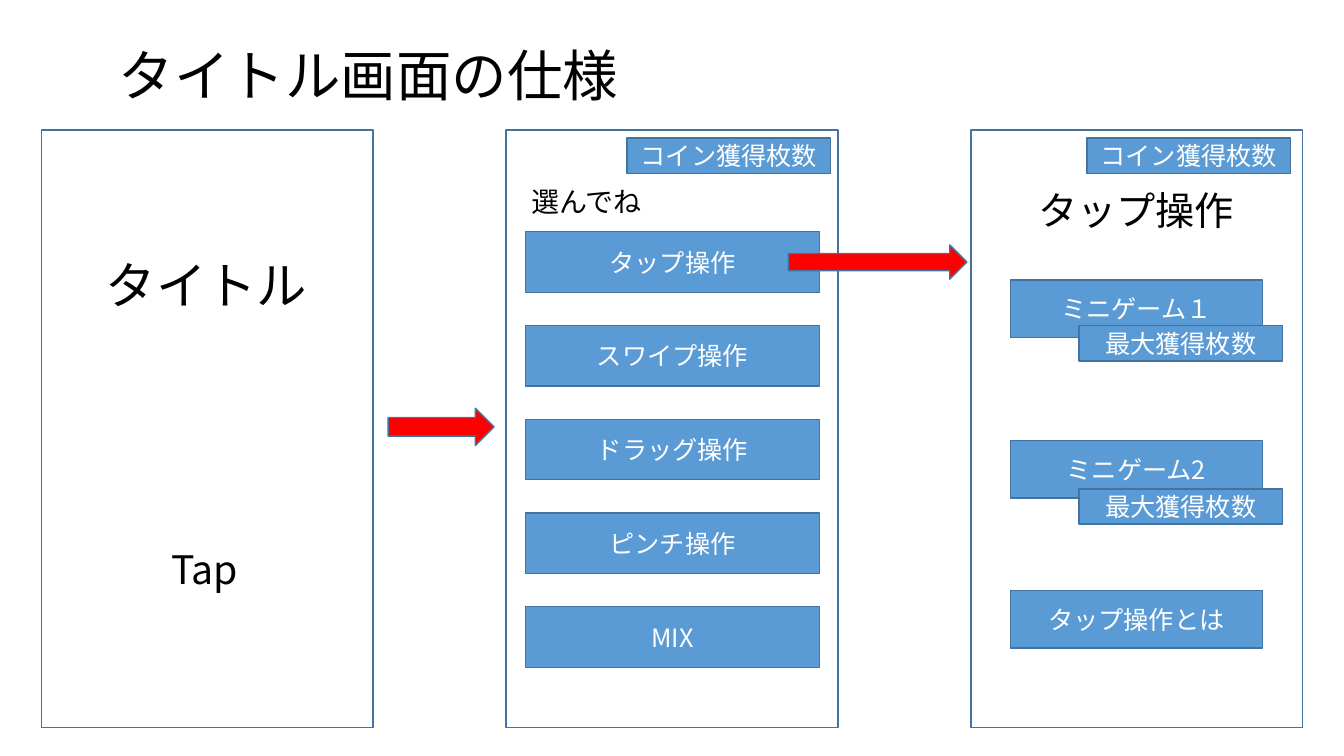
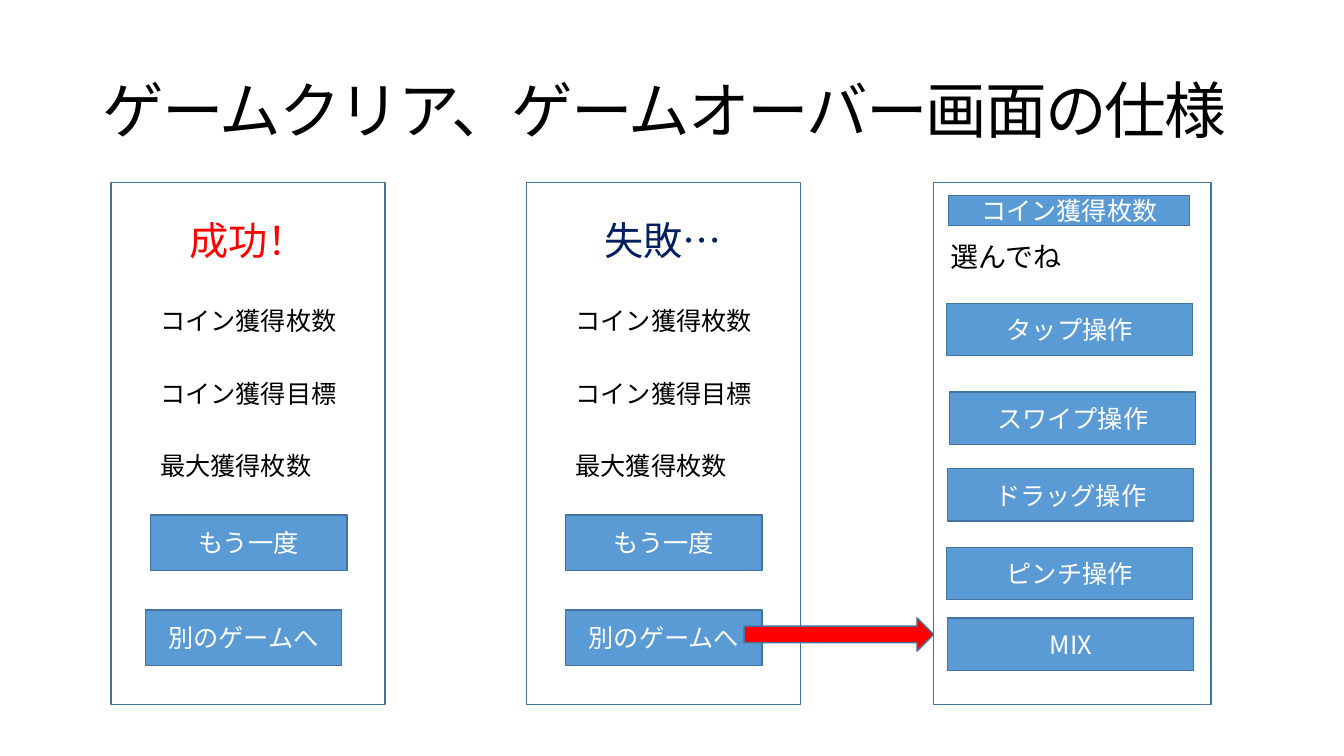
from dataclasses import dataclass

from lxml.etree import SubElement
from pptx import Presentation
from pptx.dml.color import RGBColor
from pptx.enum.shapes import MSO_SHAPE
from pptx.enum.text import MSO_ANCHOR, PP_ALIGN
from pptx.oxml.ns import qn
from pptx.util import Pt


@dataclass(frozen=True)
class Theme:
    font: str = "Noto Sans CJK JP"
    black: str = "000000"
    white: str = "FFFFFF"
    blue: str = "5B9BD5"
    edge: str = "43739E"
    red: str = "FF0000"
    navy: str = "002060"
    body: float = 18
    lead: float = 20
    head: float = 28
    large: float = 36
    title: float = 44
    small: float = 39.6


T = Theme()
PX = 9144  # 100 px to the inch
LEFT, MID = PP_ALIGN.LEFT, PP_ALIGN.CENTER
RECT, ARROW = MSO_SHAPE.RECTANGLE, MSO_SHAPE.RIGHT_ARROW


def write(page, at, text, size=T.body, color=T.black, align=LEFT,
          anchor=MSO_ANCHOR.TOP, space=None, pitch=0, item=None):
    """Put text in the given shape, or in a new text box."""
    if item is None:
        item = page.shapes.add_textbox(*(n * PX for n in at))
    frame = item.text_frame
    frame.word_wrap = True
    frame.vertical_anchor = anchor
    line = frame.paragraphs[0]
    line.alignment = align
    if space:
        line.line_spacing = space
    run = line.add_run()
    run.text = text
    run.font.size = Pt(size)
    run.font.name = T.font
    run.font.color.rgb = RGBColor.from_string(color)
    props = run.font._element
    SubElement(props, qn("a:ea")).set("typeface", T.font)
    if pitch:
        props.set("spc", str(pitch))


def draw(page, at, text="", kind=RECT, fill=T.blue):
    """Draw an outlined shape, with a centred label if there is text."""
    item = page.shapes.add_shape(kind, *(n * PX for n in at))
    item.shadow.inherit = False
    item.line.color.rgb = RGBColor.from_string(T.edge)
    item.line.width = Pt(1)
    if fill:
        item.fill.solid()
        item.fill.fore_color.rgb = RGBColor.from_string(fill)
    else:
        item.fill.background()
    if text:
        write(page, at, text, color=T.white, align=MID,
              anchor=MSO_ANCHOR.MIDDLE, item=item)


deck = Presentation()
deck.slide_width, deck.slide_height = 1333 * PX, 750 * PX
blank = deck.slide_layouts[6]

COIN, BEST = "コイン獲得枚数", "最大獲得枚数"
PICK = "選んでね"
MODES = ["タップ操作", "スワイプ操作", "ドラッグ操作", "ピンチ操作", "MIX"]

# Slide 1: title screen
page = deck.slides.add_slide(blank)
write(page, (92, 27, 547, 102), "タイトル画面の仕様", size=T.small,
      align=MID, anchor=MSO_ANCHOR.MIDDLE, space=0.9)
for col in range(3):
    draw(page, (41 + 461 * col, 129, 329, 593), fill=None)

# Start screen
write(page, (95, 247, 225, 71), "タイトル", size=T.large)
write(page, (160, 536, 91, 57), "Tap", size=T.head)

# Mode menu
write(page, (517, 178, 299, 44), PICK, size=T.lead)
for row, mode in enumerate(MODES):
    draw(page, (521, 230 + 93 * row, 292, 60), mode)

# Arrows between screens
for at in [(385, 405, 105, 37), (782, 243, 177, 34)]:
    draw(page, at, kind=ARROW, fill=T.red)

# Game list
write(page, (1020, 180, 216, 57), MODES[0], size=T.head)
for top, game in [(278, "ミニゲーム１"), (437, "ミニゲーム2"),
                  (586, "タップ操作とは")]:
    draw(page, (1002, top, 250, 57), game)

# Coin counts
for left, top, label in [(622, 137, COIN), (1078, 137, COIN),
                         (1070, 323, BEST), (1070, 485, BEST)]:
    draw(page, (left, top, 202, 35), label)

# Slide 2: game clear and game over screens
page = deck.slides.add_slide(blank)
write(page, (92, 40, 1150, 145), "ゲームクリア、ゲームオーバー画面の仕様",
      size=T.title, anchor=MSO_ANCHOR.MIDDLE, space=0.9, pitch=-150)

# Result screens
for left, label, color, inset in [(110, "成功！", T.red, 34),
                                  (522, "失敗…", T.navy, 39)]:
    draw(page, (left, 181, 272, 518), fill=None)
    write(page, (left + 34, 210, 204, 57), label, size=T.head,
          color=color, align=MID)
    for row, name in enumerate([COIN, "コイン獲得目標", BEST]):
        write(page, (left + 39, 298 + 72 * row, 205, 40), name)
    draw(page, (left + 39, 511, 195, 55), "もう一度")
    draw(page, (left + inset, 605, 195, 55), "別のゲームへ")

# Mode menu
draw(page, (926, 181, 275, 518), fill=None)
write(page, (933, 233, 250, 44), PICK, size=T.lead)
spots = [(939, 301), (942, 389), (940, 465), (939, 543), (940, 613)]
for (left, top), mode in zip(spots, MODES):
    draw(page, (left, top, 244, 52), mode)
draw(page, (941, 194, 239, 30), COIN)

# Arrow back to the menu
draw(page, (738, 613, 188, 33), kind=ARROW, fill=T.red)

deck.save("out.pptx")
